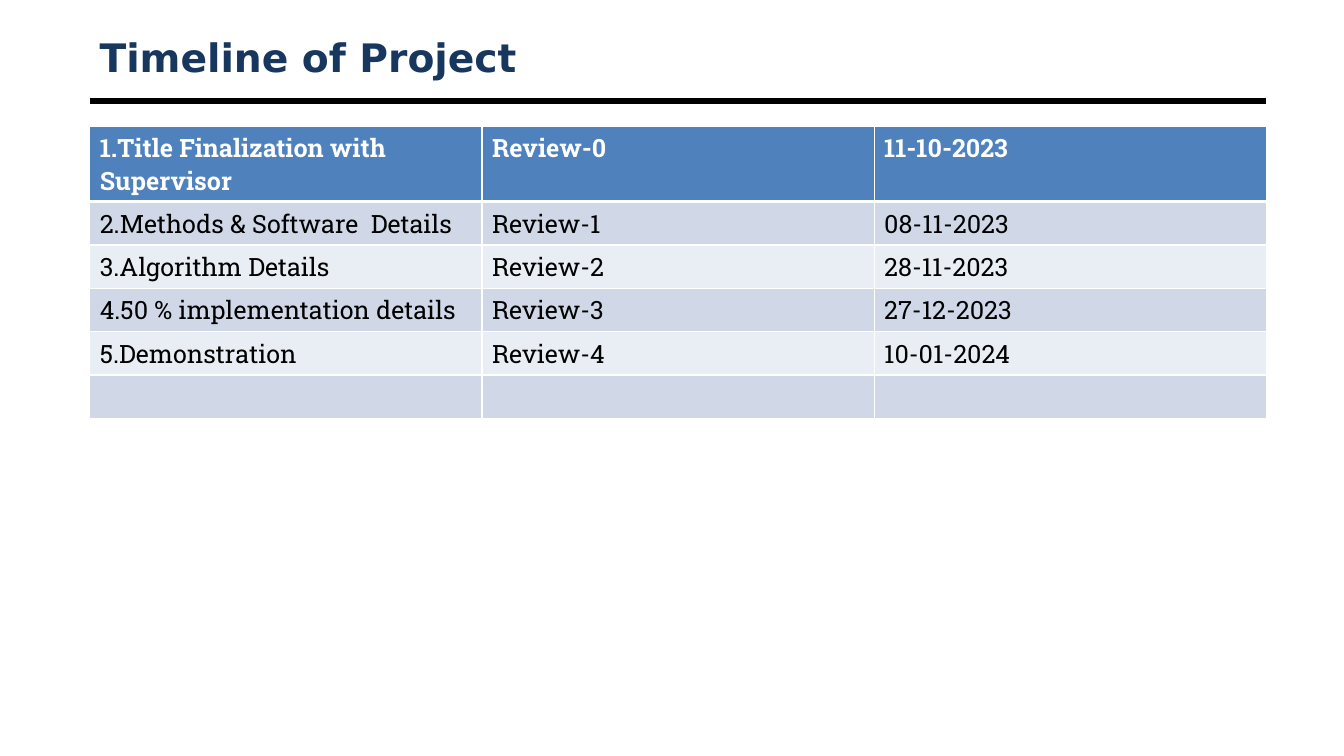
from dataclasses import dataclass

from pptx import Presentation
from pptx import util as u
from pptx.dml.color import RGBColor
from pptx.enum import shapes, text
from pptx.oxml import parse_xml
from pptx.oxml.ns import nsdecls


@dataclass(frozen=True)
class Theme:
    navy: str = "17375E"
    black: str = "000000"
    white: str = "FFFFFF"
    head: str = "4F81BD"
    bands: tuple = ("D0D8E8", "E9EDF4")
    title_font: str = "DejaVu Sans"
    body_font: str = "Roboto Slab"
    title_size: float = 28
    body_size: float = 18
    rule: float = 4.5
    thin: float = 1
    thick: float = 3


class Deck:
    left, col, row = 0.89, 3.89, 0.25

    def __init__(self, theme):
        self.theme = theme
        self.prs = Presentation()
        self.prs.slide_width = u.Inches(13.33)
        self.prs.slide_height = u.Inches(7.5)
        self.slide = self.prs.slides.add_slide(self.prs.slide_layouts[6])

    def x(self, cols):
        return u.Inches(self.left + cols * self.col)

    def w(self, cols):
        return u.Inches(cols * self.col)

    def y(self, rows):
        return u.Inches(rows * self.row)

    def style(self, para, font, size, color, bold):
        para.font.name = font
        para.font.size = u.Pt(size)
        para.font.bold = bold
        para.font.color.rgb = RGBColor.from_string(color)

    def title(self, words, top, tall, cols):
        t = self.theme
        box = self.slide.shapes.add_textbox(
            self.x(0), self.y(top), self.w(cols), self.y(tall))
        frame = box.text_frame
        frame.word_wrap = True
        frame.vertical_anchor = text.MSO_ANCHOR.MIDDLE
        para = frame.paragraphs[0]
        para.text = words
        self.style(para, t.title_font, t.title_size, t.navy, True)

    def rule(self, top, cols):
        line = self.slide.shapes.add_connector(
            shapes.MSO_CONNECTOR.STRAIGHT,
            self.x(0), self.y(top), self.x(cols), self.y(top))
        line.line.color.rgb = RGBColor.from_string(self.theme.black)
        line.line.width = u.Pt(self.theme.rule)
        line._element.spPr.append(
            parse_xml(f"<a:effectLst {nsdecls('a')}/>"))

    def edge(self, cell, side, width):
        cell._tc.get_or_add_tcPr().append(parse_xml(
            f'<a:ln{side} {nsdecls("a")} w="{u.Pt(width)}"><a:solidFill>'
            f'<a:srgbClr val="{self.theme.white}"/></a:solidFill></a:ln{side}>'))

    def cell(self, cell, words, row):
        t = self.theme
        head = row == 0
        for side in "LRTB":
            heavy = (row, side) in ((0, "B"), (1, "T"))
            self.edge(cell, side, t.thick if heavy else t.thin)
        cell.fill.solid()
        cell.fill.fore_color.rgb = RGBColor.from_string(
            t.head if head else t.bands[(row - 1) % 2])
        para = cell.text_frame.paragraphs[0]
        para.text = words
        self.style(para, t.body_font, t.body_size,
                   t.white if head else t.black, head)

    def table(self, data, top, head, body):
        cols = len(data[0])
        tall = head + body * (len(data) - 1)
        grid = self.slide.shapes.add_table(
            len(data), cols, self.x(0), self.y(top),
            self.w(cols), self.y(tall)).table
        for col in grid.columns:
            col.width = self.w(1)
        for r, line in enumerate(data):
            grid.rows[r].height = self.y(body if r else head)
            for c, words in enumerate(line):
                self.cell(grid.cell(r, c), words, r)


def main():
    plan = [
        ("1.Title Finalization with Supervisor", "Review-0", "11-10-2023"),
        ("2.Methods & Software  Details", "Review-1", "08-11-2023"),
        ("3.Algorithm Details", "Review-2", "28-11-2023"),
        ("4.50 % implementation details", "Review-3", "27-12-2023"),
        ("5.Demonstration", "Review-4", "10-01-2024"),
        ("", "", ""),
    ]
    deck = Deck(Theme())
    deck.rule(top=4, cols=3)
    deck.title("Timeline of Project", top=1.2, tall=2.12, cols=3)
    deck.table(plan, top=5, head=3, body=1.72)
    deck.prs.save("out.pptx")


if __name__ == "__main__":
    main()
